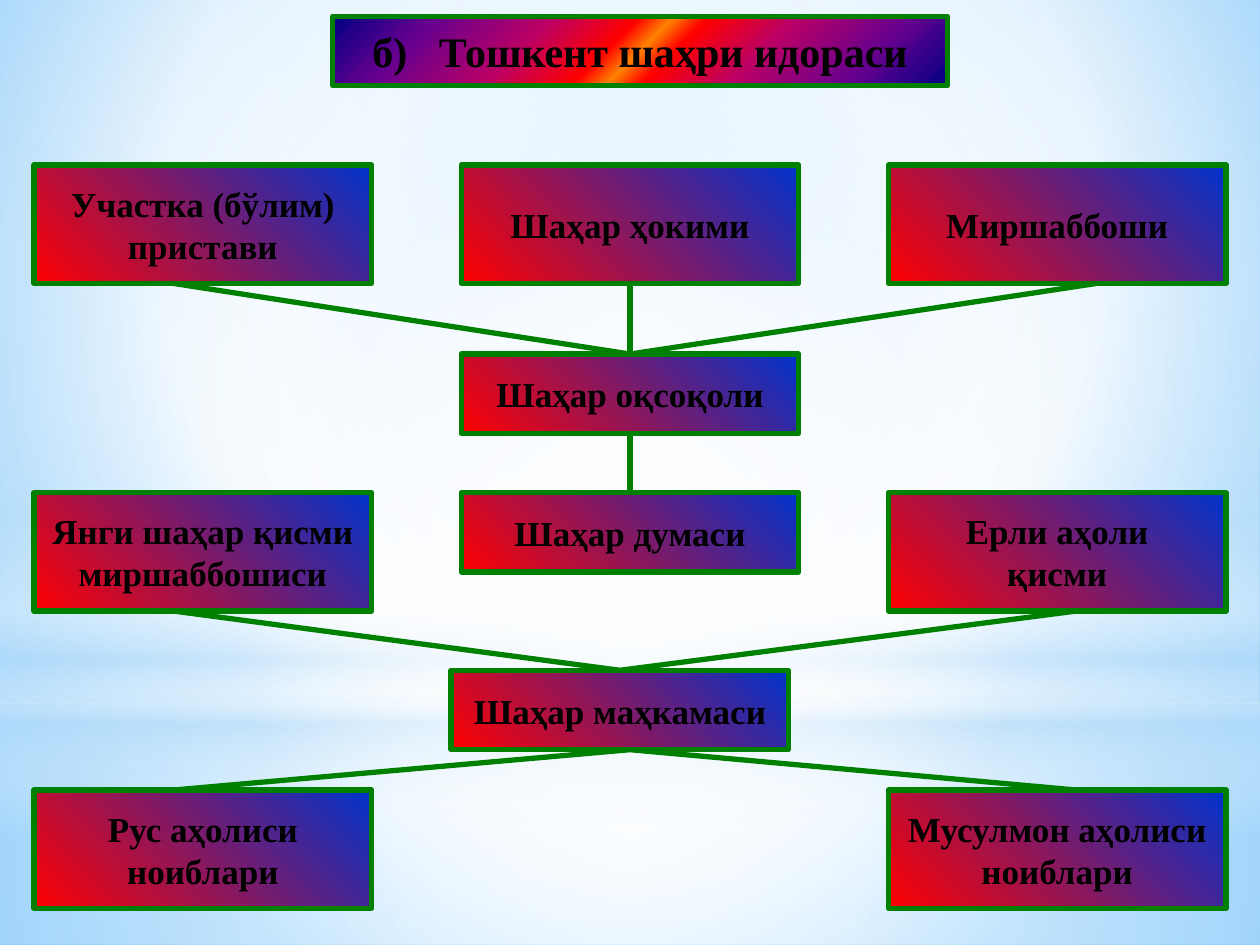
from lxml import etree
from pptx import Presentation
from pptx import util as u
from pptx.dml.color import RGBColor
from pptx.enum import shapes, text
from pptx.oxml.ns import qn

FONT, GREEN = "Times New Roman", "008000"
RED_BLUE = [(0, "FF0000"), (100, "0033CC")]
FIRE = [(0, "000082"), (15, "66008F"), (32, "BA0066"), (45, "FF0000"), (50, "FF8200"),
        (55, "FF0000"), (68, "BA0066"), (85, "66008F"), (100, "000082")]
RECT, OVAL = shapes.MSO_SHAPE.RECTANGLE, shapes.MSO_SHAPE.OVAL
CENTRE = (50, 50, 50, 50)


def color(value):
    """Turn a hex string into a colour."""
    return RGBColor.from_string(value)


def gradient(parent, stops, angle=None, focus=CENTRE):
    """Swap the solid fill of parent for a linear or a circular gradient."""
    grad = etree.Element(qn("a:gradFill"), rotWithShape="1")
    gs_list = etree.SubElement(grad, qn("a:gsLst"))
    for pos, value, *alpha in stops:
        gs = etree.SubElement(gs_list, qn("a:gs"), pos=str(pos * 1000))
        clr = etree.SubElement(gs, qn("a:srgbClr"), val=value)
        for a in alpha:
            etree.SubElement(clr, qn("a:alpha"), val=str(a * 1000))
    if angle is None:
        circle = etree.SubElement(grad, qn("a:path"), {"path": "circle"})
        sides = {k: str(v * 1000) for k, v in zip("ltrb", focus)}
        etree.SubElement(circle, qn("a:fillToRect"), sides)
    else:
        etree.SubElement(grad, qn("a:lin"), ang=str(angle * 60000), scaled="1")
    parent.replace(parent.find(qn("a:solidFill")), grad)


def add_text(p, content, size=20, bold=True, fill="000000", spacing=None):
    """Add a formatted run to a centred paragraph."""
    p.alignment = text.PP_ALIGN.CENTER
    r = p.add_run()
    r.text = content
    r.font.name, r.font.size, r.font.bold = FONT, u.Pt(size), bold
    r.font.color.rgb = color(fill)
    if spacing:
        r.font._element.set("spc", str(spacing * 100))


def add_panel(s, box, stops, angle=None, kind=RECT, border=None):
    """Add a gradient shape in box, with a border if one is named."""
    sp = s.shapes.add_shape(kind, *map(u.Inches, box))
    sp.shadow.inherit = False
    sp.fill.solid()
    gradient(sp._element.spPr, stops, angle)
    if border:
        sp.line.color.rgb, sp.line.width = color(border), u.Pt(3)
    else:
        sp.line.fill.background()
    sp.text_frame.vertical_anchor = text.MSO_ANCHOR.MIDDLE
    return sp


def add_backdrop(s, width, height):
    """Paint the pale blue background and its soft glows."""
    s.background.fill.solid()
    gradient(s.element.xpath(".//p:bgPr")[0],
             [(0, "9ED5FF"), (60, "FFFFFF"), (100, "5BB9FF")], focus=(20, 10, 20, 60))
    horizon = 5.58
    add_panel(s, (0, horizon, width, height - horizon),
              [(0, "FFFFFF", 91), (37, "FFFFFF", 76), (100, "B4DCFA", 79)])
    add_panel(s, (0, 0, width, horizon),
              [(0, "FFFFFF", 89), (48, "FFFFFF", 62), (100, "B4DCFA", 79)])
    add_panel(s, (0, 4.12, width, 2.5),
              [(0, "FFFFFF", 0), (29, "FFFFFF", 30), (45, "B4DCFA", 40),
               (55, "FFFFFF", 26), (65, "B4DCFA", 60), (100, "FFFFFF", 0)], angle=90)
    add_panel(s, (0, 1.75, width, horizon),
              [(0, "FFFFFF"), (56, "FFFFFF", 0)], kind=OVAL)


def add_title(s, box):
    """Add the heading, with a widened gap after its letter."""
    sp = add_panel(s, box, FIRE, 45, border=GREEN)
    p = sp.text_frame.paragraphs[0]
    add_text(p, "б)", size=24)
    add_text(p, " ", size=24, spacing=12)
    add_text(p, "Тошкент шаҳри идораси", size=24)


def add_office(s, box, lines):
    """Add one office box, a paragraph for each line."""
    tf = add_panel(s, box, RED_BLUE, 315, border=GREEN).text_frame
    tf.word_wrap = False
    for i, line in enumerate(lines):
        add_text(tf.add_paragraph() if i else tf.paragraphs[0], line)


def add_link(s, start, end):
    """Draw a green line between two points."""
    line = s.shapes.add_connector(shapes.MSO_CONNECTOR.STRAIGHT,
                                  *map(u.Inches, start + end))
    line.line.color.rgb, line.line.width = color(GREEN), u.Pt(3)
    etree.SubElement(line._element.spPr, qn("a:effectLst"))


def add_chart_of_offices(s, left, top):
    """Place the offices on three columns and join them."""
    w, tall, low = 2.68, 0.94, 0.63
    cols = [left + i * 3.39 for i in range(3)]
    row1, elder, row2, court, row3 = [top + d for d in (0, 1.5, 2.6, 4.01, 4.96)]
    offices = [
        (cols[0], row1, tall, ["Участка (бўлим)", "пристави"]),
        (cols[0], row2, tall, ["Янги шаҳар қисми", "миршаббошиси"]),
        (cols[0], row3, tall, ["Рус аҳолиси", "ноиблари"]),
        (cols[1], row1, tall, ["Шаҳар ҳокими"]),
        (cols[1], row2, low, ["Шаҳар думаси"]),
        (cols[2], row1, tall, ["Миршаббоши"]),
        (cols[2], row2, tall, ["Ерли аҳоли", "қисми"]),
        (cols[2], row3, tall, ["Мусулмон аҳолиси", "ноиблари"]),
        (cols[1], elder, low, ["Шаҳар оқсоқоли"]),
        (cols[1] - 0.08, court, low, ["Шаҳар маҳкамаси"]),
    ]
    for x, y, h, lines in offices:
        add_office(s, (x, y, w, h), lines)

    mid = cols[1] + w / 2
    west, east = left + 1.11, left + 8.27
    fans = [((west, mid, east + 0.16), row1 + tall, (mid, elder)),
            ((west, east), row2 + tall, (mid - 0.08, court)),
            ((west, east), row3, (mid, court + low)),
            ((mid,), elder + low, (mid, row2))]
    for xs, y, hub in fans:
        for x in xs:
            add_link(s, (x, y), hub)


prs = Presentation()
prs.slide_width, prs.slide_height = u.Inches(10), u.Inches(7.5)
s = prs.slides.add_slide(prs.slide_layouts[6])
add_backdrop(s, 10, 7.5)
add_title(s, (2.64, 0.13, 4.88, 0.55))
add_chart_of_offices(s, 0.27, 1.31)
prs.save("out.pptx")
